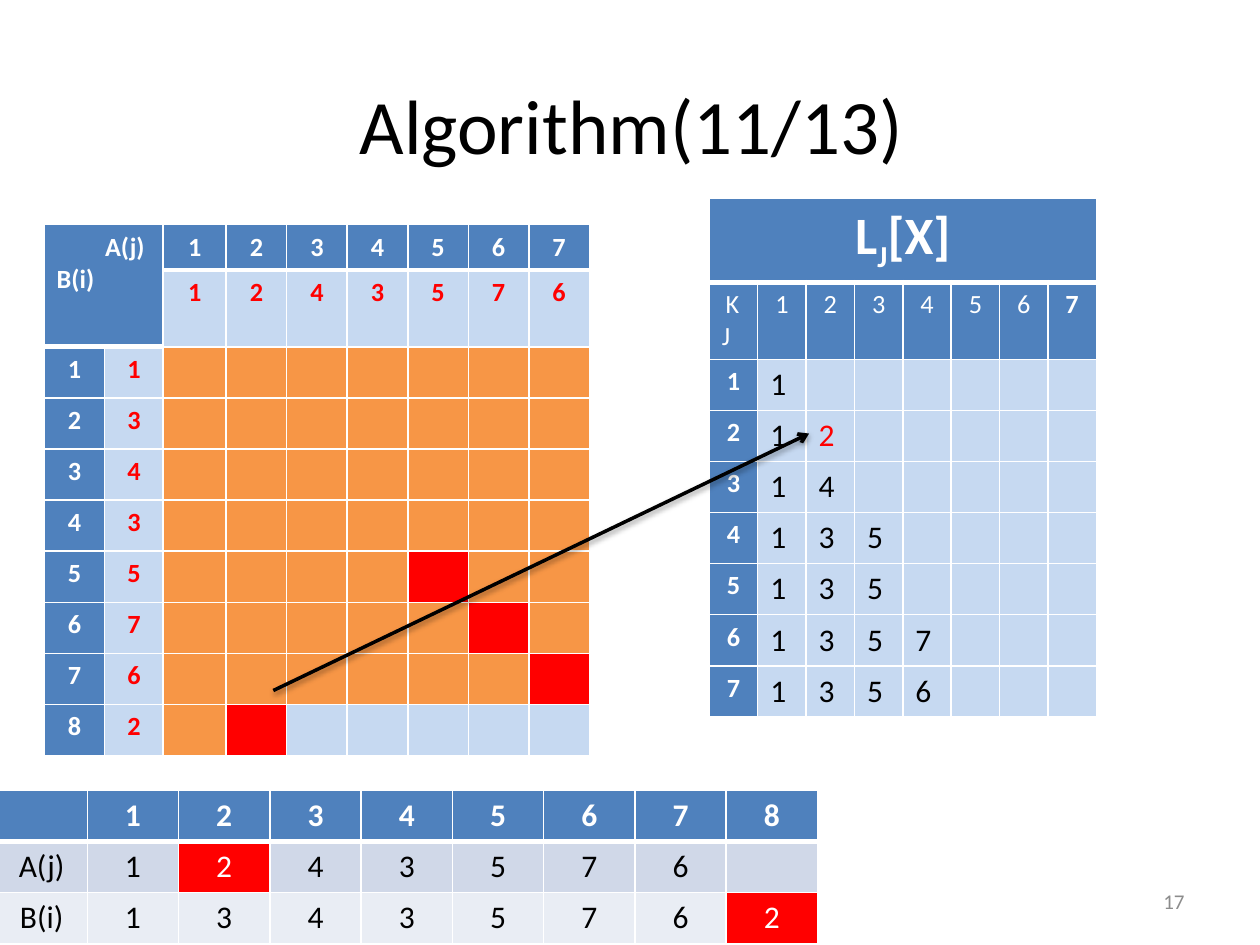
from lxml.etree import SubElement
from pptx import Presentation
from pptx.dml.color import RGBColor
from pptx.enum.shapes import MSO_CONNECTOR as Connector
from pptx.enum.text import MSO_ANCHOR as Anchor, PP_ALIGN as Align
from pptx.oxml import parse_xml
from pptx.oxml.ns import nsdecls, qn
from pptx.util import Cm, Pt

BLUE, PALE, ORANGE, RED = "4F81BD", "C6D9F1", "F79646", "FF0000"
WHITE, BLACK, GREY = "FFFFFF", "000000", "8C8C8C"
BANDS = {1: "D0D8E8", 2: "E9EDF4"}
A = [1, 2, 4, 3, 5, 7, 6]
B = [1, 3, 4, 3, 5, 7, 6, 2]
MATCHES = {(5, 5), (6, 6), (7, 7), (8, 2)}
LISTS = ["1", "12", "14", "135", "135", "1357", "1356"]


def rgb(value):
    return RGBColor.from_string(value)


class SlideBuilder:
    font_name = "Calibri"

    def __init__(self, slide):
        self.slide = slide

    def fill_text(self, frame, lines, color, size, bold=False, align=Align.CENTER):
        for index, line in enumerate(lines):
            paragraph = frame.paragraphs[0] if index == 0 else frame.add_paragraph()
            text, paragraph.alignment = line if isinstance(line, tuple) else (line, align)
            for position, part in enumerate(text.split("_")):
                run = paragraph.add_run()
                run.text = part
                style = {"name": self.font_name, "size": Pt(size), "bold": bold}
                for key, value in style.items():
                    setattr(run.font, key, value)
                run.font.color.rgb = rgb(color)
                if position % 2:
                    run._r.get_or_add_rPr().set("baseline", "-25000")

    def title(self, text, left, top, width, height):
        title = self.slide.shapes.title
        box = {"left": left, "top": top, "width": width, "height": height}
        for key, value in box.items():
            setattr(title, key, Cm(value))
        title.text_frame.vertical_anchor = Anchor.MIDDLE
        self.fill_text(title.text_frame, [text], BLACK, 44)

    def label(self, text, left, top, width, height):
        box = self.slide.shapes.add_textbox(Cm(left), Cm(top), Cm(width), Cm(height))
        box.text_frame.word_wrap = True
        box.text_frame.vertical_anchor = Anchor.MIDDLE
        self.fill_text(box.text_frame, [text], GREY, 12, align=Align.RIGHT)

    def border(self, cell, bottom):
        for side in "LRTB":
            width = Pt(bottom if side == "B" else 1)
            line = SubElement(cell._tc.get_or_add_tcPr(), qn(f"a:ln{side}"), w=str(width))
            fill = SubElement(line, qn("a:solidFill"))
            SubElement(fill, qn("a:srgbClr"), val=WHITE)

    def table(self, left, top, widths, heights, content, look, merge=None):
        frame = self.slide.shapes.add_table(
            len(heights), len(widths), Cm(left), Cm(top),
            Cm(sum(widths)), Cm(sum(heights)))
        table = frame.table
        for column, width in zip(table.columns, widths):
            column.width = Cm(width)
        for row, height in zip(table.rows, heights):
            row.height = Cm(height)
        if merge:
            table.cell(0, 0).merge(table.cell(*merge))
        for row in range(len(heights)):
            for column in range(len(widths)):
                cell = table.cell(row, column)
                fill, style = look(row, column)
                header = row == 0 or (merge and row <= merge[0] and column <= merge[1])
                self.border(cell, 3 if header else 1)
                cell.fill.solid()
                cell.fill.fore_color.rgb = rgb(fill)
                lines = content(row, column)
                if lines and not cell.is_spanned:
                    self.fill_text(cell.text_frame, lines, **style)

    def arrow(self, start, end):
        arrow = self.slide.shapes.add_connector(
            Connector.STRAIGHT, *(Cm(value) for value in start + end))
        arrow.line.width = Pt(2)
        arrow.line.color.rgb = rgb(BLACK)
        properties = arrow._element.spPr
        SubElement(properties.find(qn("a:ln")), qn("a:tailEnd"), type="arrow")
        properties.append(parse_xml(
            f'<a:effectLst {nsdecls("a")}><a:outerShdw blurRad="40000" dist="20000" '
            'dir="5400000" rotWithShape="0"><a:srgbClr val="000000">'
            '<a:alpha val="38000"/></a:srgbClr></a:outerShdw></a:effectLst>'))


def match_text(row, column):
    if row < 2 and column < 2:
        return [("A(j) ", Align.RIGHT), ("B(i)", Align.LEFT)]
    if row < 2:
        return [str(A[column - 2] if row else column - 1)]
    if column < 2:
        return [str(B[row - 2] if column else row - 1)]
    return []


def match_look(row, column):
    i, j = row - 1, column - 1
    style = {"color": WHITE, "size": 15, "bold": True}
    if row == 0 or column == 0 or (row == 1 and column == 1):
        return BLUE, style
    if row == 1 or column == 1:
        return PALE, {**style, "color": RED}
    if (i, j) in MATCHES:
        return RED, style
    return (PALE if (i, j) > (8, 2) else ORANGE), style


def list_text(row, column):
    if row == 0:
        return ["L_J_[X]"]
    if row == 1:
        return [str(column)] if column else [("K ", Align.RIGHT), ("J", Align.LEFT)]
    if column == 0:
        return [str(row - 1)]
    return list(LISTS[row - 2][column - 1:column])


def list_look(row, column):
    if row == 0:
        return BLUE, {"color": WHITE, "size": 30, "bold": True}
    if row == 1 or column == 0:
        return BLUE, {"color": WHITE, "size": 15, "bold": row > 1 or column == 7}
    color = RED if (row, column) == (3, 2) else BLACK
    return PALE, {"color": color, "size": 18, "align": Align.LEFT}


def sequence_text(row, column):
    rows = [["", *range(1, 9)], ["A(j)", *A, ""], ["B(i)", *B]]
    value = str(rows[row][column])
    return [value] if value else []


def sequence_look(row, column):
    if row == 0:
        return BLUE, {"color": WHITE, "size": 18, "bold": True}
    if (row, column) in {(1, 2), (2, 8)}:
        return RED, {"color": WHITE, "size": 18}
    return BANDS[row], {"color": BLACK, "size": 18}


def main():
    deck = Presentation()
    deck.slide_width, deck.slide_height = Cm(25.4), Cm(19.05)
    builder = SlideBuilder(deck.slides.add_slide(deck.slide_layouts[5]))
    builder.title("Algorithm(11/13)", 1.3, 0.91, 22.86, 3.18)
    builder.table(0.89, 4.53, [1.22, 1.18, 1.27] + [1.22] * 6,
                  [0.91, 1.53] + [1.03] * 8, match_text, match_look, (1, 1))
    builder.table(14.3, 4, [7.8 / 8] * 8, [1.68, 1.55] + [1.03] * 7,
                  list_text, list_look, (0, 7))
    builder.arrow((5.51, 13.92), (16.31, 8.74))
    builder.table(-0.08, 15.93, [1.84] * 9, [1.03] * 3, sequence_text, sequence_look)
    builder.label("17", 18.21, 17.65, 5.92, 1.02)
    deck.save("out.pptx")


if __name__ == "__main__":
    main()
